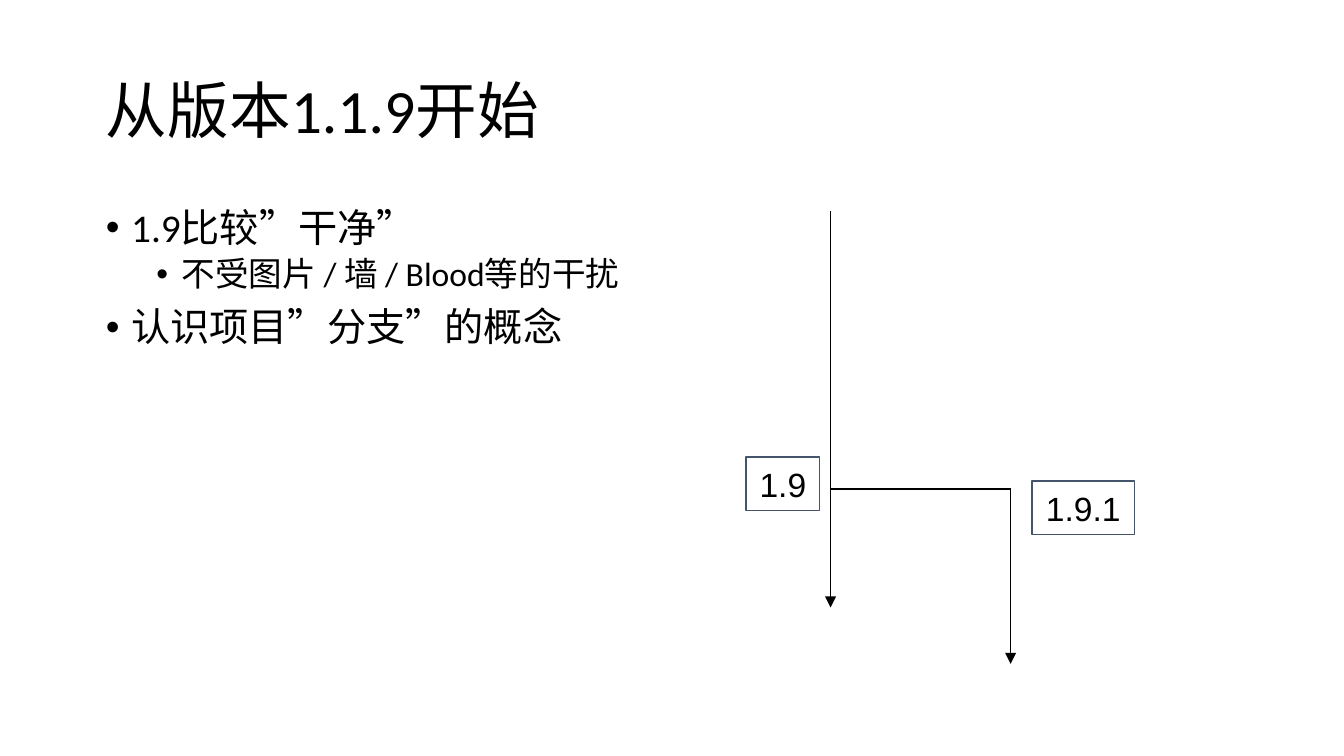
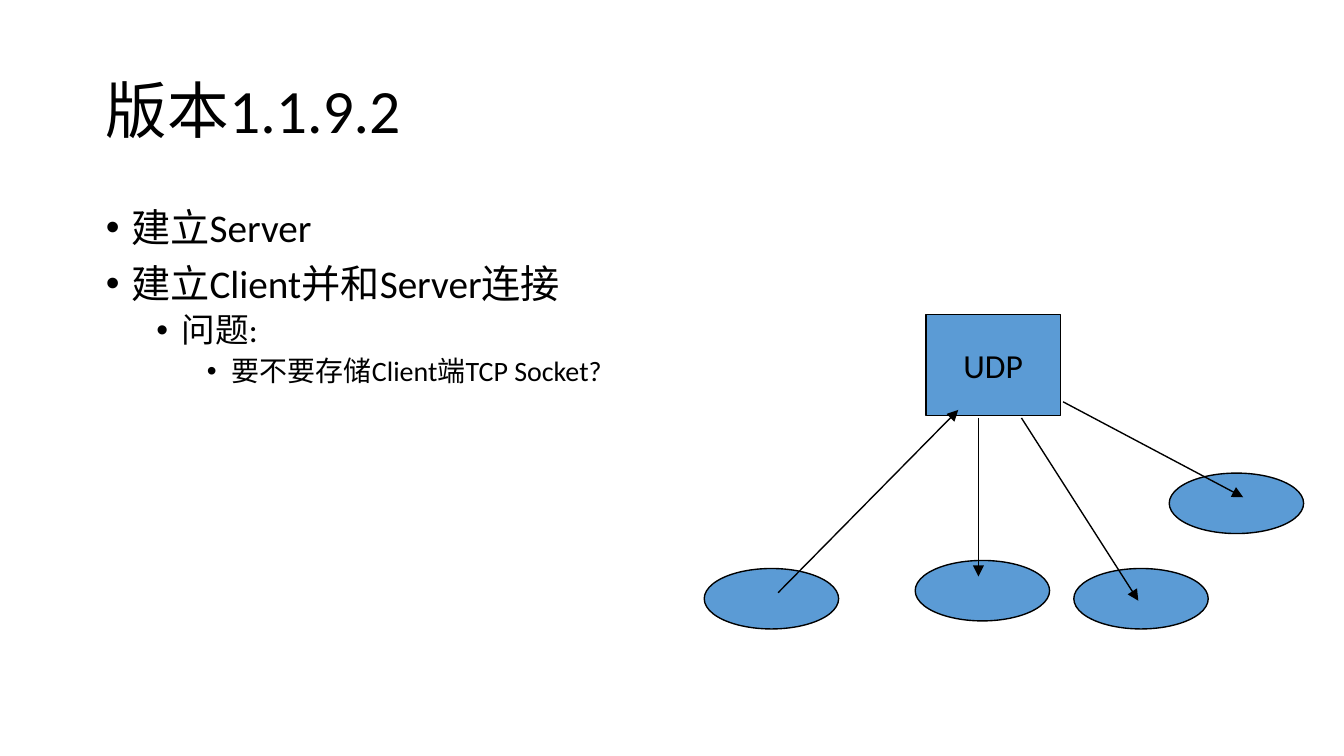
from lxml.etree import SubElement
from pptx import Presentation
from pptx.dml.color import RGBColor
from pptx.enum.shapes import MSO_CONNECTOR, MSO_SHAPE
from pptx.enum.text import MSO_ANCHOR, PP_ALIGN
from pptx.oxml.ns import qn
from pptx.util import Inches, Pt

COLORS = {"text": "000000", "line": "000000", "label": "44546A", "node": "5B9BD5"}
BODY_FONT, LABEL_FONT = "Calibri", "Arial"
PAGE_WIDTH = 10
PAGE_HEIGHT = PAGE_WIDTH * 9 / 16
TITLE_AREA = (0.69, 0.3, 8.62, 1.09)
BODY_AREA = (0.69, 1.5, 8.62, 3.57)
TITLE_SIZE = 33
LEVELS = [(21, 7.5), (18, 3.8), (15, 3.8)]  # text size, space before
INDENT_STEP = 3 / 8
FIRST_INDENT = INDENT_STEP / 2

BRANCH_TITLE = "从版本1.1.9开始"
BRANCH_POINTS = [
    (0, "1.9比较”干净”"),
    (1, "不受图片 / 墙 / Blood等的干扰"),
    (0, "认识项目”分支”的概念"),
]
TRUNK_X, BRANCH_X, FORK_Y = 6.18, 7.52, 3.64
TRUNK_TOP, TRUNK_END, BRANCH_END = 1.57, 4.52, 4.94
VERSION_LABELS = [("1.9", (5.55, 3.4, 0.55, 0.4)), ("1.9.1", (7.68, 3.58, 0.76, 0.4))]

SERVER_TITLE = "版本1.1.9.2"
SERVER_POINTS = [
    (0, "建立Server"),
    (0, "建立Client并和Server连接"),
    (1, "问题:"),
    (2, "要不要存储Client端TCP Socket?"),
]
SERVER_AREA = (6.89, 2.34, 1, 0.75)
CLIENT_SIZE = (1, 0.45)
CLIENTS = [(5.24, 4.23), (8.7, 3.52), (7.99, 4.23), (6.81, 4.17)]
MESSAGES = [
    ((5.79, 4.41), (7.13, 3.05)),
    ((7.28, 3.11), (7.28, 4.29)),
    ((7.6, 3.11), (8.47, 4.47)),
    ((7.91, 2.99), (9.25, 3.7)),
]


def inches(values):
    return [Inches(value) for value in values]


def color(name):
    return RGBColor.from_string(COLORS[name])


def style_text(para, size, font=BODY_FONT):
    for span in para.runs:
        span.font.size = Pt(size)
        span.font.name = font
        span.font.color.rgb = color("text")


def add_text_area(page, area):
    frame = page.shapes.add_textbox(*inches(area)).text_frame
    frame.word_wrap = True
    return frame


def add_bullet(para, level, text):
    size, space = LEVELS[level]
    para.text = text
    para.level = level
    para.line_spacing = 0.9
    para.space_before = Pt(space)
    style_text(para, size)
    properties = para._p.get_or_add_pPr()
    properties.set("marL", str(Inches(FIRST_INDENT + level * INDENT_STEP)))
    properties.set("indent", str(-Inches(FIRST_INDENT)))
    SubElement(properties, qn("a:buFont"), typeface="Arial")
    SubElement(properties, qn("a:buChar"), char="•")


def add_page(deck, title, points):
    """Add a slide with its title and bulleted points."""
    page = deck.slides.add_slide(deck.slide_layouts[6])
    frame = add_text_area(page, TITLE_AREA)
    frame.vertical_anchor = MSO_ANCHOR.MIDDLE
    frame.text = title
    frame.paragraphs[0].line_spacing = 0.9
    style_text(frame.paragraphs[0], TITLE_SIZE)

    frame = add_text_area(page, BODY_AREA)
    for index, (level, text) in enumerate(points):
        para = frame.add_paragraph() if index else frame.paragraphs[0]
        add_bullet(para, level, text)
    return page


def add_line(page, start, end, arrow=True):
    line = page.shapes.add_connector(MSO_CONNECTOR.STRAIGHT, *inches(start + end))
    line.line.color.rgb = color("line")
    line.line.width = Pt(0.75)
    if arrow:
        SubElement(line.line._get_or_add_ln(), qn("a:tailEnd"), type="triangle")
    SubElement(line._element.spPr, qn("a:effectLst"))


def add_box(page, kind, area, outline="line", fill=None, text="", font=BODY_FONT):
    box = page.shapes.add_shape(kind, *inches(area))
    box.shadow.inherit = False
    box.line.color.rgb = color(outline)
    box.line.width = Pt(0.75)
    if fill:
        box.fill.solid()
        box.fill.fore_color.rgb = color(fill)
    else:
        box.fill.background()
    if text:
        frame = box.text_frame
        frame.word_wrap = False
        frame.vertical_anchor = MSO_ANCHOR.MIDDLE
        frame.text = text
        frame.paragraphs[0].alignment = PP_ALIGN.CENTER
        style_text(frame.paragraphs[0], 18, font)


def build_branch_page(deck):
    page = add_page(deck, BRANCH_TITLE, BRANCH_POINTS)
    fork, turn = (TRUNK_X, FORK_Y), (BRANCH_X, FORK_Y)
    add_line(page, (TRUNK_X, TRUNK_TOP), (TRUNK_X, TRUNK_END))
    add_line(page, fork, turn, arrow=False)
    add_line(page, turn, (BRANCH_X, BRANCH_END))
    for version, area in VERSION_LABELS:
        add_box(page, MSO_SHAPE.RECTANGLE, area, "label", text=version, font=LABEL_FONT)


def build_server_page(deck):
    page = add_page(deck, SERVER_TITLE, SERVER_POINTS)
    add_box(page, MSO_SHAPE.RECTANGLE, SERVER_AREA, fill="node", text="UDP")
    for position in CLIENTS:
        add_box(page, MSO_SHAPE.OVAL, position + CLIENT_SIZE, fill="node")
    for start, end in MESSAGES:
        add_line(page, start, end)


def main():
    deck = Presentation()
    deck.slide_width, deck.slide_height = inches((PAGE_WIDTH, PAGE_HEIGHT))
    build_branch_page(deck)
    build_server_page(deck)
    deck.save("out.pptx")


if __name__ == "__main__":
    main()
